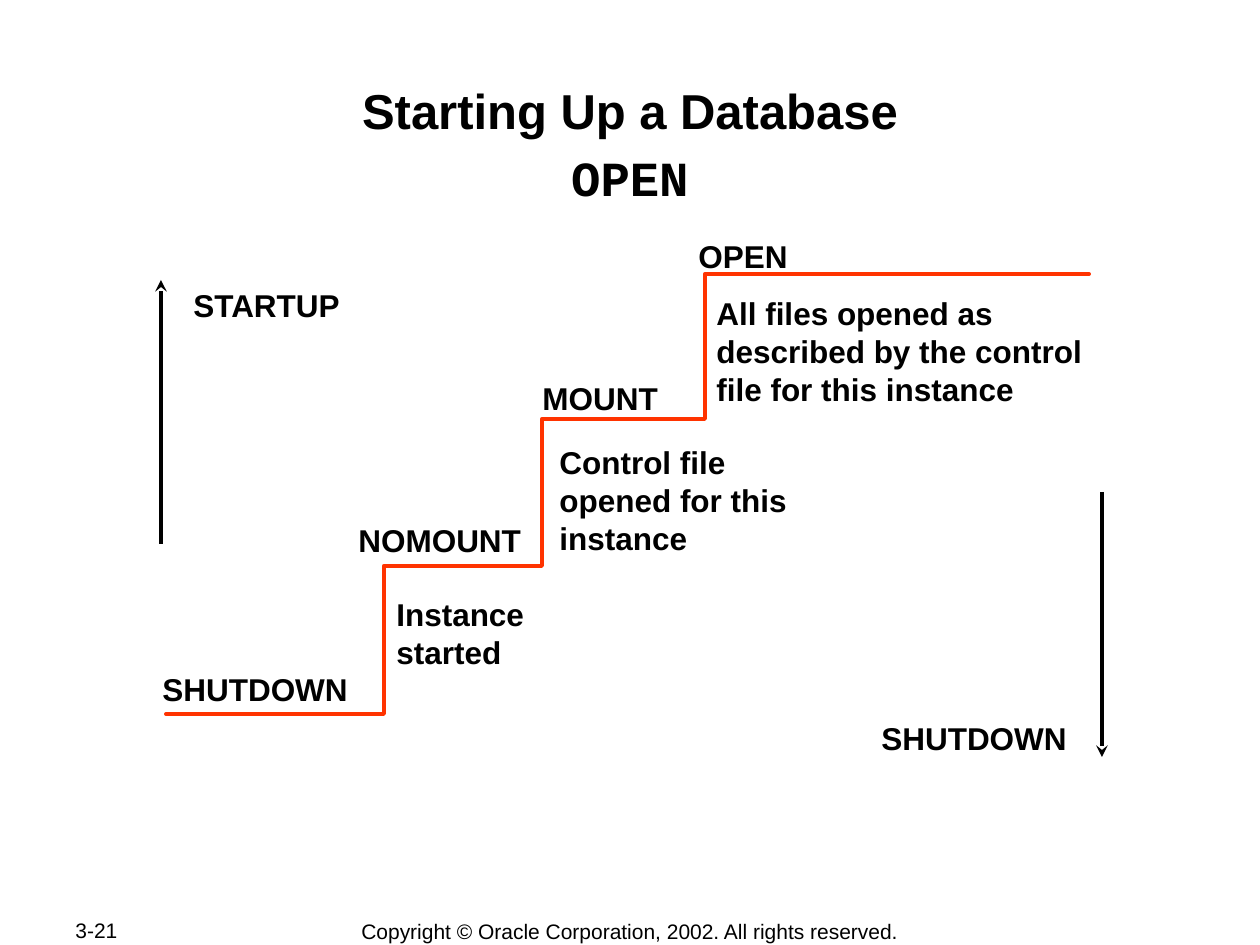
from lxml import etree
from pptx import Presentation
from pptx.dml.color import RGBColor
from pptx.enum.shapes import MSO_CONNECTOR
from pptx.enum.text import MSO_ANCHOR, PP_ALIGN
from pptx.oxml.ns import qn
from pptx.util import Pt

PX = 914400 / 126
BLACK = RGBColor(0x00, 0x00, 0x00)
RED = RGBColor(0xFF, 0x33, 0x00)
SANS, MONO = "Arial", "Courier New"
LEFT, CENTER = PP_ALIGN.LEFT, PP_ALIGN.CENTER
TOP, MIDDLE = MSO_ANCHOR.TOP, MSO_ANCHOR.MIDDLE
STRAIGHT = MSO_CONNECTOR.STRAIGHT

STAIR_POINTS = [(166, 714), (384, 714), (384, 566), (542, 566), (542, 419),
                (705, 419), (705, 274), (1089, 274)]

# text, left, top, width, height
LABELS = [
    ("OPEN", 686, 231, 164, 50),
    ("MOUNT", 530, 373, 205, 50),
    ("NOMOUNT", 346, 515, 199, 50),
    ("SHUTDOWN", 150, 664, 228, 50),
    ("All files opened as described by the control file for this instance",
     704, 288, 406, 126),
    ("Control file opened for this instance", 547, 437, 258, 126),
    ("Instance \vstarted", 384, 589, 238, 88),
    ("STARTUP", 181, 280, 174, 50),
    ("SHUTDOWN", 869, 713, 212, 50),
]

# x, start y, end y
ARROWS = [(161, 544, 280), (1102, 492, 757)]


def px(value):
    return round(value * PX)


def add_text_box(s, left, top, width, height, anchor=TOP, wrap=True):
    sp = s.shapes.add_textbox(px(left), px(top), px(width), px(height))
    tf = sp.text_frame
    tf.word_wrap = wrap
    tf.vertical_anchor = anchor
    return tf


def add_text(p, text, size, bold=False, font=SANS, align=LEFT):
    """Fill a paragraph; a vertical tab in the text is a line break."""
    p.alignment = align
    for i, part in enumerate(text.split("\v")):
        if i:
            p.add_line_break()
        r = p.add_run()
        r.text = part
        r.font.name = font
        r.font.size = Pt(size)
        r.font.bold = bold
        r.font.color.rgb = BLACK


def add_title(s):
    tf = add_text_box(s, 126, 79, 1008, 121)
    tf.margin_left = tf.margin_right = tf.margin_top = tf.margin_bottom = px(1)
    add_text(tf.paragraphs[0], "Starting Up a Database", 28, True, align=CENTER)
    p = tf.add_paragraph()
    p.space_before = Pt(5)
    add_text(p, "OPEN", 28, True, MONO, CENTER)


def add_stairs(s):
    builder = s.shapes.build_freeform(*STAIR_POINTS[0], scale=PX)
    builder.add_line_segments(STAIR_POINTS[1:], close=False)
    sp = builder.convert_to_shape()
    sp.shadow.inherit = False
    sp.fill.background()
    sp.line.color.rgb = RED
    sp.line.width = Pt(2.25)
    ln = sp.line._get_or_add_ln()
    ln.set("cap", "rnd")
    etree.SubElement(ln, qn("a:round"))


def add_arrow(s, x, start, end):
    cxn = s.shapes.add_connector(STRAIGHT, px(x), px(start), px(x), px(end))
    cxn.line.color.rgb = BLACK
    cxn.line.width = Pt(2.25)
    etree.SubElement(cxn.line._get_or_add_ln(), qn("a:tailEnd"), type="stealth")
    etree.SubElement(cxn._element.spPr, qn("a:effectLst"))


def add_footer(s):
    tf = add_text_box(s, 63, 918, 134, 25, MIDDLE)
    add_text(tf.paragraphs[0], "3-21", 12)
    tf = add_text_box(s, 347, 918, 566, 26, MIDDLE, wrap=False)
    add_text(tf.paragraphs[0],
             "Copyright © Oracle Corporation, 2002. All rights reserved.",
             12, align=CENTER)


def main():
    prs = Presentation()
    prs.slide_width, prs.slide_height = px(1260), px(945)
    s = prs.slides.add_slide(prs.slide_layouts[6])
    add_footer(s)
    add_title(s)
    add_stairs(s)
    for text, *box in LABELS:
        tf = add_text_box(s, *box)
        add_text(tf.paragraphs[0], text, 18, True)
    for arrow in ARROWS:
        add_arrow(s, *arrow)
    prs.save("out.pptx")


if __name__ == "__main__":
    main()
